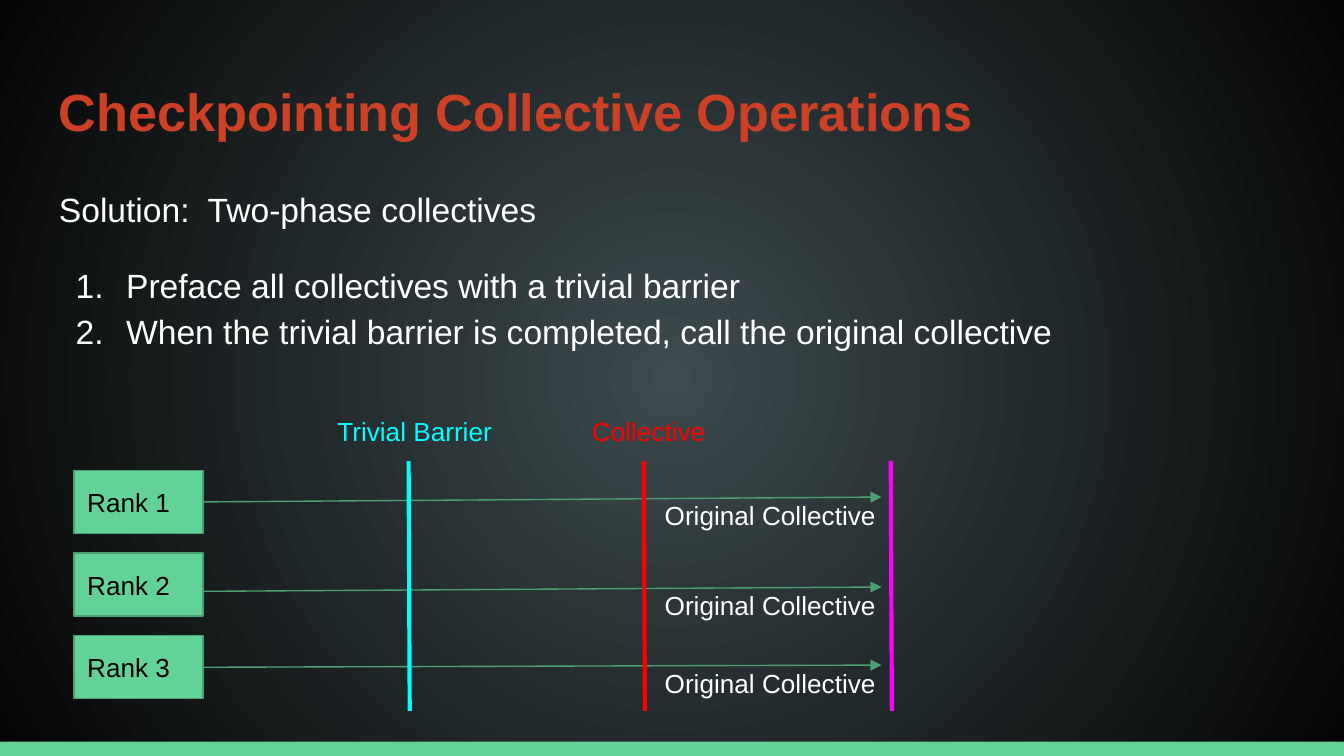
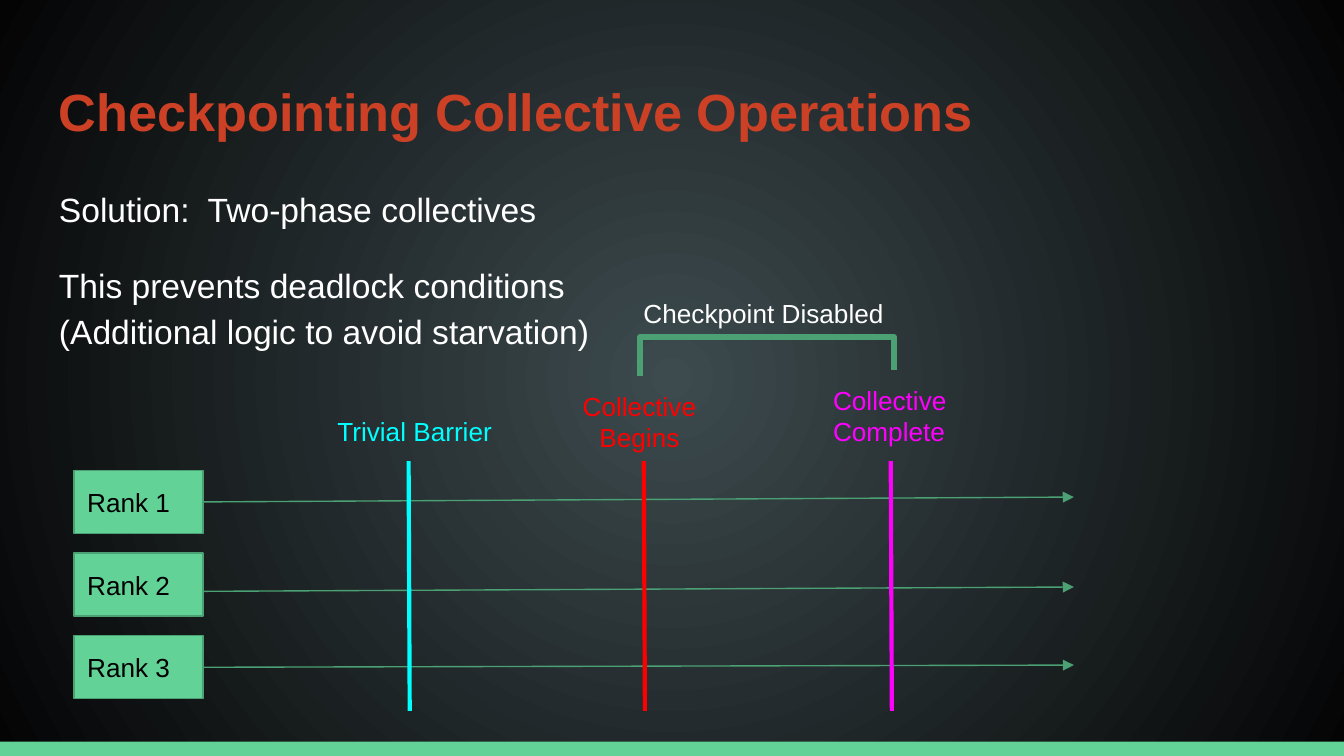
from lxml import etree
from pptx import Presentation
from pptx.dml.color import RGBColor
from pptx.enum import shapes, text
from pptx.oxml import parse_xml
from pptx.oxml.ns import nsdecls, qn
from pptx.util import Pt

FONT = "Arial"
GREEN = RGBColor(0x63, 0xD2, 0x97)
DARK_GREEN = RGBColor(0x4B, 0xA1, 0x73)
RUST = RGBColor(0xCC, 0x41, 0x25)
WHITE = RGBColor(0xFF, 0xFF, 0xFF)
BLACK = RGBColor(0x00, 0x00, 0x00)
CYAN = RGBColor(0x00, 0xFF, 0xFF)
RED = RGBColor(0xFF, 0x00, 0x00)
MAGENTA = RGBColor(0xFF, 0x00, 0xFF)
GLOW = RGBColor(0x3D, 0x4B, 0x4E)
NIGHT = RGBColor(0x04, 0x04, 0x05)

INSET = 7.2
TIMELINES = (268.6, 316.8, 358.6)
BACKGROUND = f"""<p:bg {nsdecls('p', 'a')}><p:bgPr><a:gradFill rotWithShape="1"><a:gsLst>
<a:gs pos="0"><a:srgbClr val="{GLOW}"/></a:gs><a:gs pos="100000"><a:srgbClr val="{NIGHT}"/></a:gs>
</a:gsLst><a:path path="circle"><a:fillToRect l="50000" t="50000" r="50000" b="50000"/></a:path>
</a:gradFill><a:effectLst/></p:bgPr></p:bg>"""


class Deck:
    """Holds the shared style and the slide being drawn."""

    def __init__(self):
        self.prs = Presentation()
        self.prs.slide_width, self.prs.slide_height = Pt(720), Pt(405)
        self.slide = None

    def new_slide(self, title):
        self.slide = self.prs.slides.add_slide(self.prs.slide_layouts[6])
        self.slide._element.cSld.insert(0, parse_xml(BACKGROUND))
        self.box(0, 397.3, 720, 7.7)
        self.label(title, 24.5, 35.3, 671, 45, RUST, size=28).font.bold = True

    def fill_text(self, frame, lines, color, size):
        frame.word_wrap = True
        frame.margin_left = frame.margin_right = Pt(INSET)
        frame.margin_top = frame.margin_bottom = Pt(INSET)
        for index, line in enumerate(lines):
            paragraph = frame.add_paragraph() if index else frame.paragraphs[0]
            paragraph.text = line
            paragraph.alignment = text.PP_ALIGN.LEFT
            paragraph.font.name, paragraph.font.size = FONT, Pt(size)
            paragraph.font.color.rgb = color
        return frame.paragraphs

    def label(self, words, x, y, w, h, color, size=14):
        return self.labels([words], x, y, w, h, color, size)[0]

    def labels(self, lines, x, y, w, h, color, size=14):
        area = self.slide.shapes.add_textbox(Pt(x), Pt(y), Pt(w), Pt(h))
        return self.fill_text(area.text_frame, lines, color, size)

    def body(self, lines, height, numbered=False):
        paragraphs = self.labels(lines, 24.5, 90.7, 671, height, WHITE, size=18)
        for paragraph in paragraphs:
            paragraph.line_spacing = 1.15
        paragraphs[1].space_before = Pt(16)
        for paragraph in paragraphs[1:] if numbered else ():
            props = paragraph._p.get_or_add_pPr()
            props.set("marL", str(Pt(36)))
            props.set("indent", str(Pt(-27)))
            number = etree.Element(qn("a:buAutoNum"), type="arabicPeriod")
            props.find(qn("a:defRPr")).addprevious(number)

    def box(self, x, y, w, h, outline=None):
        shape = self.slide.shapes.add_shape(
            shapes.MSO_SHAPE.RECTANGLE, Pt(x), Pt(y), Pt(w), Pt(h))
        shape.shadow.inherit = False
        shape.fill.solid()
        shape.fill.fore_color.rgb = GREEN
        if outline:
            shape.line.color.rgb, shape.line.width = outline, Pt(0.75)
        else:
            shape.line.fill.background()
        return shape

    def line(self, x1, y1, x2, y2, color, width, kind=shapes.MSO_CONNECTOR.STRAIGHT):
        link = self.slide.shapes.add_connector(kind, Pt(x1), Pt(y1), Pt(x2), Pt(y2))
        link.line.color.rgb, link.line.width = color, Pt(width)
        etree.SubElement(link._element.spPr, qn("a:effectLst"))
        return link

    def bracket(self, x, y, w, h, bend):
        link = self.line(x, y, x + w, y + h, DARK_GREEN, 3, shapes.MSO_CONNECTOR.ELBOW)
        props = link._element.spPr
        props.find(qn("a:xfrm")).set("rot", "16200000")
        guides = props.find(qn("a:prstGeom")).get_or_add_avLst()
        etree.SubElement(guides, qn("a:gd"), name="adj1", fmla=f"val {bend}")

    def rank(self, number, timeline, end):
        top = 252 + 44.3 * (number - 1)
        rank = self.box(39.6, top, 69.2, 33.8, DARK_GREEN)
        rank.text_frame.vertical_anchor = text.MSO_ANCHOR.MIDDLE
        self.fill_text(rank.text_frame, [f"Rank {number}"], BLACK, 14)
        arrow = self.line(108.8, timeline, end, timeline - 2.3, DARK_GREEN, 0.75)
        if abs(timeline - top - 16.9) < 2:
            arrow.begin_connect(rank, 3)
        etree.SubElement(arrow.line._get_or_add_ln(), qn("a:tailEnd"), type="triangle")

    def phases(self, end):
        for number, timeline in enumerate(TIMELINES, 1):
            self.rank(number, timeline, end)
        for x, color in ((218.9, CYAN), (344.9, RED), (477.2, MAGENTA)):
            self.line(x, 247, x + 0.6, 380.9, color, 2.25)
        self.label("Trivial Barrier", 173.6, 215.3, 98, 31.7, CYAN)


def main():
    deck = Deck()
    title = "Checkpointing Collective Operations"
    solution = "Solution:  Two-phase collectives"

    deck.new_slide(title)
    deck.body([solution, "Preface all collectives with a trivial barrier",
               "When the trivial barrier is completed, call the original collective"],
              140.4, numbered=True)
    deck.phases(472.3)
    deck.label("Collective", 310, 215.3, 78.5, 31.7, RED)
    for timeline in TIMELINES:
        deck.label("Original Collective", 349, timeline - 8, 127.4, 37.4, WHITE)

    deck.new_slide(title)
    deck.body([solution, "This prevents deadlock conditions\v(Additional logic to avoid starvation)"],
              124.6)
    deck.phases(575.3)
    for paragraph in deck.labels(["Collective", "Begins"], 303, 201.8, 79.2, 45.4, RED):
        paragraph.alignment = text.PP_ALIGN.CENTER
    deck.labels(["Collective", "Complete"], 439.2, 198.8, 79.2, 31.7, MAGENTA)
    deck.bracket(409.5, 131.8, 2.88, 136.1, 719800)
    deck.label("Checkpoint Disabled", 337.6, 151.9, 152.6, 37.4, WHITE)

    deck.prs.save("out.pptx")


if __name__ == "__main__":
    main()
